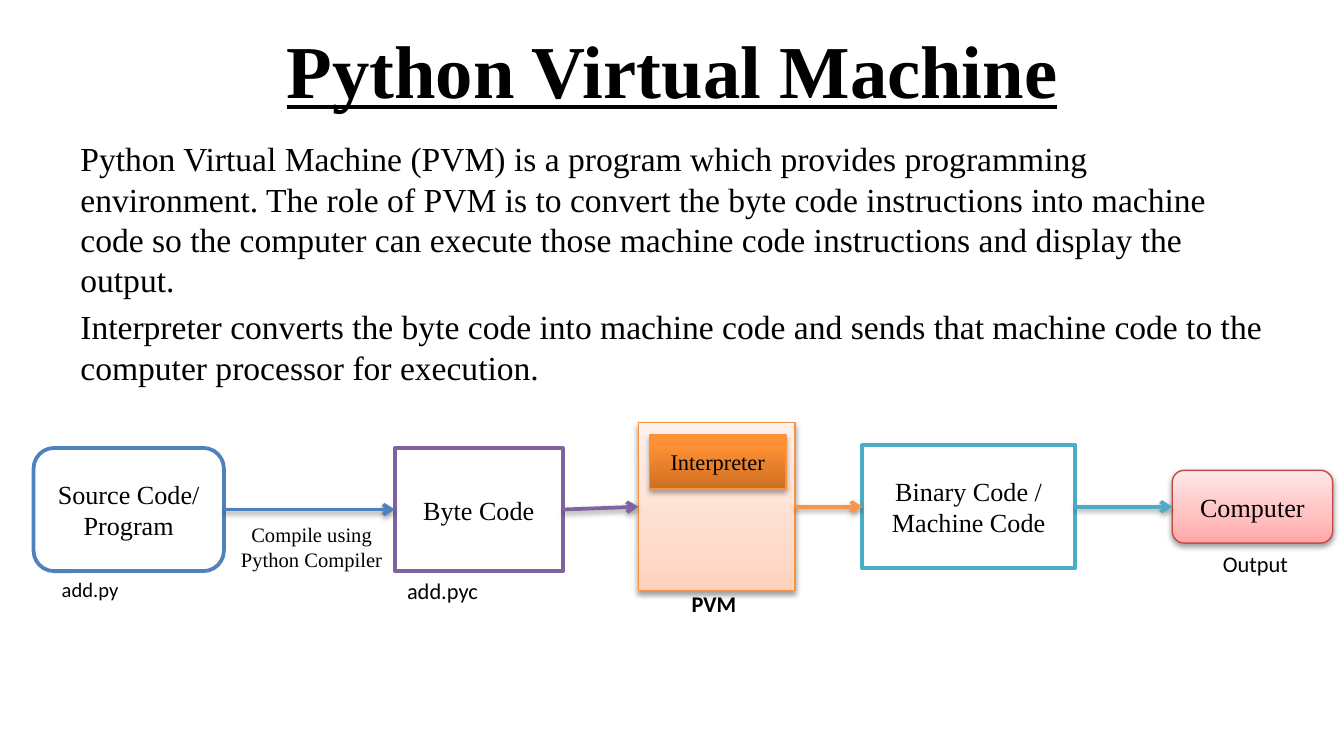
import pptx
import pptx.dml.color
import pptx.enum.shapes
import pptx.enum.text
import pptx.oxml
import pptx.oxml.ns
import pptx.util

Pt = pptx.util.Pt
RGB = pptx.dml.color.RGBColor
Shape = pptx.enum.shapes.MSO_SHAPE
Align = pptx.enum.text.PP_ALIGN
Anchor = pptx.enum.text.MSO_ANCHOR
AutoSize = pptx.enum.text.MSO_AUTO_SIZE

BLACK = RGB(0, 0, 0)
WHITE = RGB(255, 255, 255)
BLUE = RGB(0x4F, 0x81, 0xBD)
PURPLE = RGB(0x80, 0x64, 0xA2)
TEAL = RGB(0x4B, 0xAC, 0xC6)
ORANGE = RGB(0xF7, 0x96, 0x46)
EDGE_ORANGE = RGB(0xF6, 0x92, 0x40)
EDGE_RED = RGB(0xBF, 0x4C, 0x48)
RED_FADE = [(0, RGB(0xFF, 0xA6, 0xA5)), (35, RGB(0xFF, 0xC0, 0xBF)), (100, RGB(0xFF, 0xE7, 0xE7))]
PEACH_FADE = [(0, RGB(0xFF, 0xD2, 0xBD)), (35, RGB(0xFF, 0xDE, 0xD0)), (100, RGB(0xFF, 0xF2, 0xED))]
ORANGE_FADE = [(0, RGB(0xCC, 0x6E, 0x20)), (80, RGB(0xFF, 0x90, 0x34)), (100, RGB(0xFF, 0x91, 0x36))]

SERIF = "Times New Roman"
SANS = "Calibri"


class SlideBuilder:
    """Draws styled elements on the current slide, with lengths in points."""

    def __init__(self, slide):
        self.slide = slide

    def element(self, tag, content="", attributes=""):
        return pptx.oxml.parse_xml(
            f'<a:{tag} {pptx.oxml.ns.nsdecls("a")} {attributes}>{content}</a:{tag}>')

    def effects(self, item, opacity=0, distance=1.6):
        shadow = ""
        if opacity:
            shadow = (f'<a:outerShdw blurRad="{Pt(3.1)}" dist="{Pt(distance)}" dir="5400000" '
                      f'rotWithShape="0"><a:srgbClr val="{BLACK}">'
                      f'<a:alpha val="{opacity * 1000}"/></a:srgbClr></a:outerShdw>')
        item._element.spPr.append(self.element("effectLst", shadow))

    def fill_text(self, frame, lines, size, font=SERIF, align=Align.CENTER, bold=False,
                  underline=False, before=0):
        for index, line in enumerate(lines):
            para = frame.paragraphs[0] if index == 0 else frame.add_paragraph()
            para.alignment = align
            para.space_before = Pt(before)
            span = para.add_run()
            span.text = line
            span.font.name = font
            span.font.size = Pt(size)
            span.font.bold = bold
            span.font.underline = underline
            span.font.color.rgb = BLACK

    def text(self, area, lines, size, wrap=True, anchor=Anchor.TOP, **style):
        box = self.slide.shapes.add_textbox(*map(Pt, area))
        frame = box.text_frame
        frame.word_wrap = wrap
        frame.auto_size = AutoSize.NONE if wrap else AutoSize.SHAPE_TO_FIT_TEXT
        frame.vertical_anchor = anchor
        self.fill_text(frame, lines, size, **style)

    def block(self, kind, area, edge, label="", size=14, fade=None, opacity=38, distance=1.6):
        box = self.slide.shapes.add_shape(kind, *map(Pt, area))
        box.line.color.rgb = edge
        box.line.width = Pt(0.75 if fade else 2)
        if fade:
            box.fill.gradient()
            gradient = box._element.spPr.find(pptx.oxml.ns.qn("a:gradFill"))
            stops = "".join(f'<a:gs pos="{place * 1000}"><a:srgbClr val="{color}"/></a:gs>'
                            for place, color in fade)
            gradient.replace(gradient[0], self.element("gsLst", stops))
            box.fill.gradient_angle = 90
        else:
            box.fill.solid()
            box.fill.fore_color.rgb = WHITE
        self.effects(box, opacity if fade else 0, distance)
        if label:
            box.text_frame.word_wrap = True
            box.text_frame.vertical_anchor = Anchor.MIDDLE
            self.fill_text(box.text_frame, [label], size)
        return box

    def arrow(self, start, end, color):
        line = self.slide.shapes.add_connector(pptx.enum.shapes.MSO_CONNECTOR.STRAIGHT, 0, 0, 0, 0)
        line.begin_connect(start, 3)
        line.end_connect(end, 1)
        line.line.color.rgb = color
        line.line.width = Pt(2)
        outline = line._element.spPr.find(pptx.oxml.ns.qn("a:ln"))
        outline.append(self.element("tailEnd", attributes='type="arrow"'))
        self.effects(line, 38)


deck = pptx.Presentation()
deck.slide_width, deck.slide_height = Pt(720), Pt(405)
page = SlideBuilder(deck.slides.add_slide(deck.slide_layouts[6]))

page.text((36, 3, 648, 67.5), ["Python Virtual Machine"], 40, anchor=Anchor.MIDDLE,
          bold=True, underline=True)
page.text((36, 70.5, 648, 144), [
    "Python Virtual Machine (PVM) is a program which provides programming environment. "
    "The role of PVM is to convert the byte code instructions into machine code so the "
    "computer can execute those machine code instructions and display the output.",
    "Interpreter converts the byte code into machine code and sends that machine code to "
    "the computer processor for execution.",
], 18, align=Align.LEFT, before=3.6)

stages = [
    page.block(Shape.ROUNDED_RECTANGLE, (18, 240, 102, 66), BLUE, "Source Code/ Program"),
    page.block(Shape.RECTANGLE, (211.5, 240, 90, 66), PURPLE, "Byte Code"),
    page.block(Shape.RECTANGLE, (342, 226.5, 84, 90), EDGE_ORANGE, fade=PEACH_FADE),
    page.block(Shape.RECTANGLE, (462, 238.5, 114, 66), TEAL, "Binary Code / Machine Code"),
    page.block(Shape.ROUNDED_RECTANGLE, (628, 252, 86, 39), EDGE_RED, "Computer", fade=RED_FADE),
]
page.block(Shape.RECTANGLE, (348, 233, 73, 29), EDGE_ORANGE, "Interpreter", 12,
           fade=ORANGE_FADE, opacity=35, distance=1.8)

for start, end, color in zip(stages, stages[1:], [BLUE, PURPLE, ORANGE, TEAL]):
    page.arrow(start, end, color)

page.text((121.5, 276, 91, 34), ["Compile using", "Python Compiler"], 11, wrap=False)
for area, label, size, bold in [
    ((26, 305.5, 45, 21), "add.py", 11, False),
    ((211, 305.5, 52.5, 21.5), "add.pyc", 12, False),
    ((363.5, 312.5, 39, 21.5), "PVM", 12, True),
    ((648, 291, 49.5, 21.5), "Output", 12, False),
]:
    page.text(area, [label], size, wrap=False, font=SANS, align=Align.LEFT, bold=bold)

deck.save("out.pptx")
